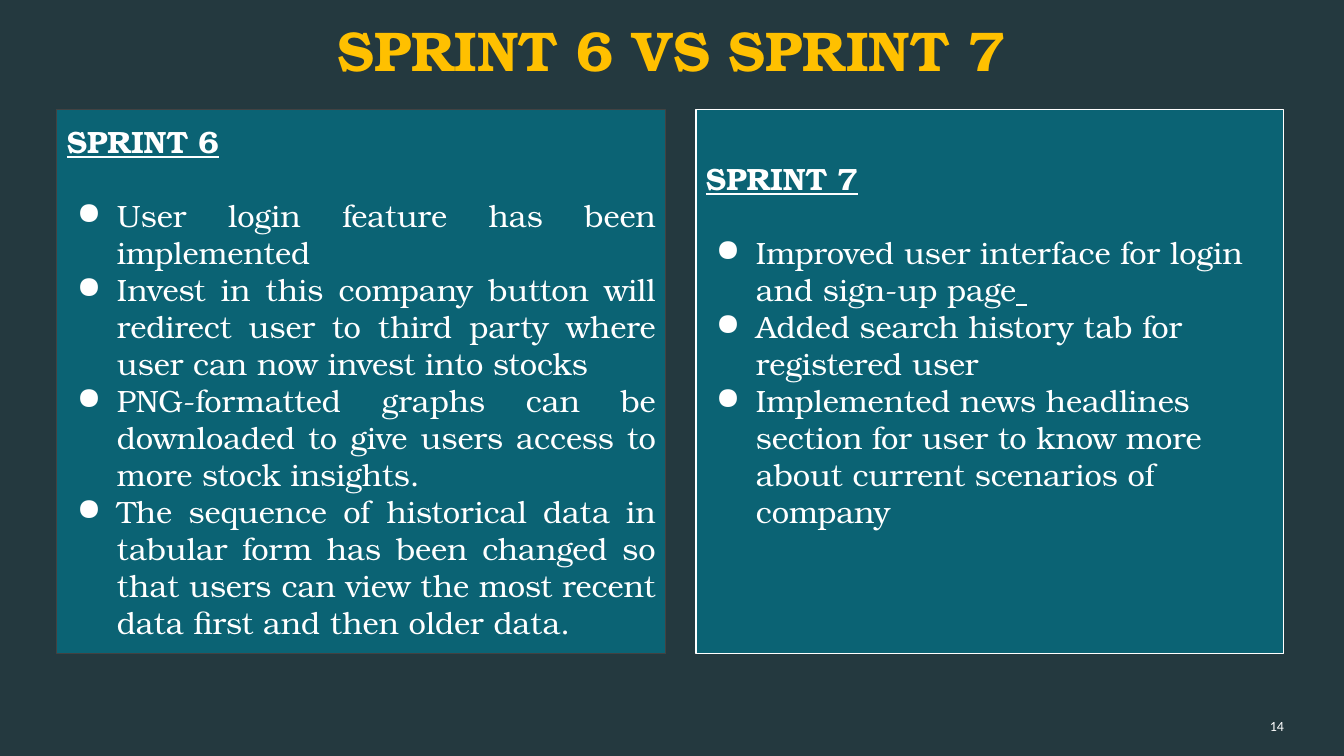
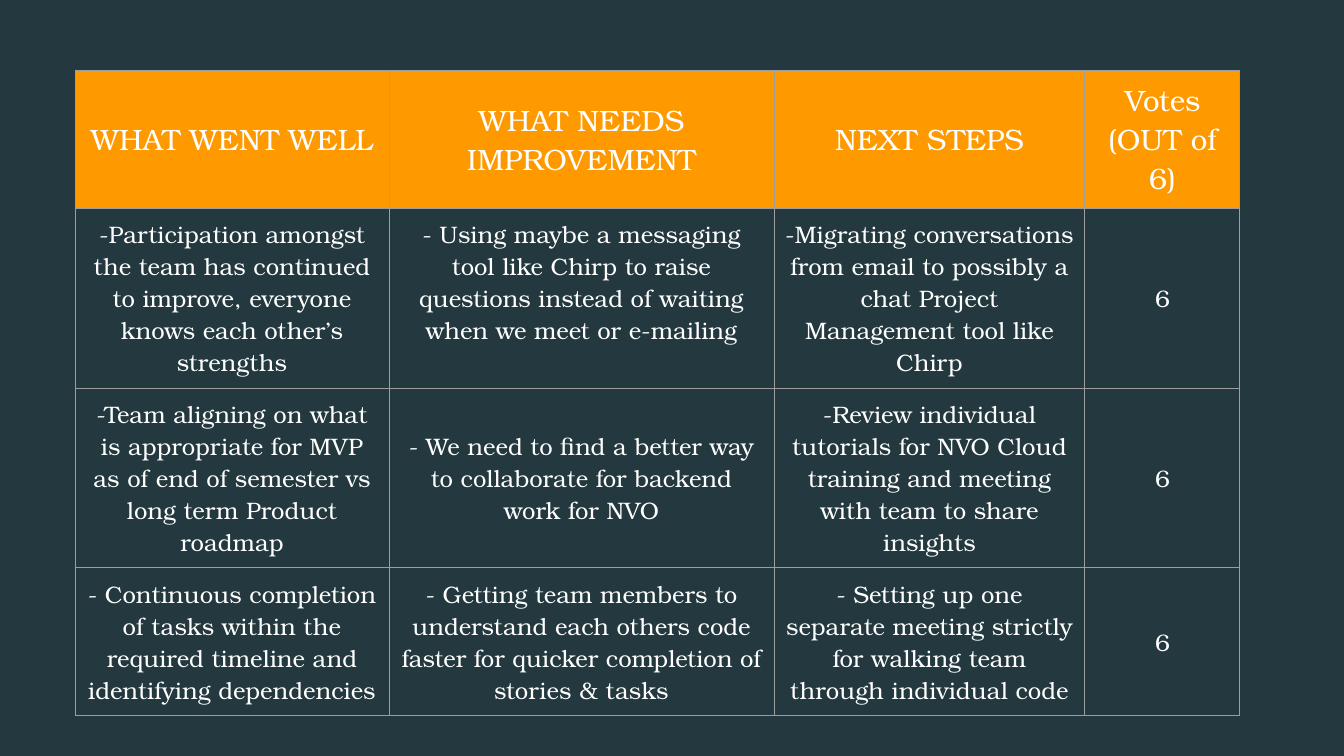
from dataclasses import dataclass

from lxml import etree
from pptx import Presentation
from pptx.dml.color import RGBColor
from pptx.enum.shapes import MSO_SHAPE
from pptx.enum.text import MSO_ANCHOR, MSO_AUTO_SIZE, PP_ALIGN
from pptx.oxml.ns import qn
from pptx.util import Emu, Pt

LEFT, CENTER, RIGHT, JUSTIFY = (
    PP_ALIGN.LEFT, PP_ALIGN.CENTER, PP_ALIGN.RIGHT, PP_ALIGN.JUSTIFY)
TOP, MIDDLE = MSO_ANCHOR.TOP, MSO_ANCHOR.MIDDLE
RECTANGLE = MSO_SHAPE.RECTANGLE
NO_AUTOFIT = MSO_AUTO_SIZE.NONE
TITLE_ONLY, BLANK = 5, 6
PX = 914400 / 100.8


@dataclass(frozen=True)
class Theme:
    background: str = "24393F"
    gold: str = "FFC000"
    teal: str = "0B6374"
    orange: str = "FF9900"
    white: str = "FFFFFF"
    dark_line: str = "424242"
    grid_line: str = "9E9E9E"
    serif: str = "TeX Gyre Bonum"
    sans: str = "Calibri"
    title_size: int = 40
    panel_size: int = 22
    header_size: int = 21
    cell_size: int = 17
    number_size: int = 10
    panel_pitch: float = 26.4
    header_pitch: float = 28
    cell_pitch: float = 22.8


THEME = Theme()


def px(*lengths):
    """Turn pixel lengths into a list of EMU lengths."""
    return [Emu(round(length * PX)) for length in lengths]


def write(para, text, size, color=THEME.white, font=THEME.serif, bold=False,
          underline=False, align=LEFT, pitch=None, after=0, bullet=None):
    """Add a formatted run to a paragraph; pitch is the line height in points."""
    para.alignment = align
    para.space_after = Pt(after)
    if pitch:
        para.line_spacing = Pt(pitch)
    if bullet:
        properties = para._p.get_or_add_pPr()
        indent, hanging = px(50, -40)
        properties.set("marL", str(indent))
        properties.set("indent", str(hanging))
        bullet_color = etree.SubElement(properties, qn("a:buClr"))
        etree.SubElement(bullet_color, qn("a:srgbClr"), val=color)
        etree.SubElement(properties, qn("a:buChar"), char=bullet)
    span = para.add_run()
    span.text = text
    span.font.size = Pt(size)
    span.font.name = font
    span.font.bold = bold
    span.font.underline = underline
    span.font.color.rgb = RGBColor.from_string(color)


deck = Presentation()
deck.slide_width, deck.slide_height = px(1344, 756)
backdrop = deck.slide_master.background.fill
backdrop.solid()
backdrop.fore_color.rgb = RGBColor.from_string(THEME.background)

# Sprint comparison
page = deck.slides.add_slide(deck.slide_layouts[TITLE_ONLY])
title = page.shapes.title
title.left, title.top, title.width, title.height = px(30, 13, 1283, 73)
number = page.shapes.add_textbox(*px(1041, 706, 243, 40))
for box in (title, number):
    frame = box.text_frame
    frame.word_wrap = True
    frame.auto_size = NO_AUTOFIT
    frame.vertical_anchor = MIDDLE
    frame.margin_left = frame.margin_top = frame.margin_right = frame.margin_bottom = 0
write(title.text_frame.paragraphs[0], "SPRINT 6 VS SPRINT 7", THEME.title_size,
      color=THEME.gold, bold=True, align=CENTER)
write(number.text_frame.paragraphs[0], "14", THEME.number_size,
      font=THEME.sans, align=RIGHT)

PANELS = [
    ("SPRINT 6", 57, 609, THEME.dark_line, 13, JUSTIFY, [
        "User login feature has been implemented",
        "Invest in this company button will redirect user to third party "
        "where user can now invest into stocks",
        "PNG-formatted graphs can be downloaded to give users access to "
        "more stock insights.",
        "The sequence of historical data in tabular form has been changed so "
        "that users can view the most recent data first and then older data.",
    ]),
    ("SPRINT 7", 696, 588, THEME.white, 50, LEFT, [
        "Improved user interface for login and sign-up page",
        "Added search history tab for registered user",
        "Implemented news headlines section for user to know more about "
        "current scenarios of company",
    ]),
]
for heading, left, width, line_color, inset, align, points in PANELS:
    panel = page.shapes.add_shape(RECTANGLE, *px(left, 110, width, 544))
    panel.shadow.inherit = False
    panel.fill.solid()
    panel.fill.fore_color.rgb = RGBColor.from_string(THEME.teal)
    panel.line.color.rgb = RGBColor.from_string(line_color)
    panel.line.width = Pt(0.75)
    frame = panel.text_frame
    frame.word_wrap = True
    frame.vertical_anchor = TOP
    frame.margin_left, frame.margin_top, frame.margin_right = px(10, inset, 10)
    write(frame.paragraphs[0], heading, THEME.panel_size, bold=True,
          underline=True, pitch=THEME.panel_pitch, after=THEME.panel_pitch)
    for point in points:
        para = frame.add_paragraph()
        write(para, point, THEME.panel_size, align=align,
              pitch=THEME.panel_pitch, bullet="●")
        if point.endswith("sign-up page"):
            write(para, " ", THEME.panel_size, bold=True, underline=True,
                  align=align, pitch=THEME.panel_pitch)

# Retrospective table
page = deck.slides.add_slide(deck.slide_layouts[BLANK])
COLUMN_WIDTHS = px(314, 385, 311, 155)
ROW_HEIGHTS = px(138, 180, 180, 147)
ROWS = [
    ["WHAT WENT WELL", "WHAT NEEDS IMPROVEMENT", "NEXT STEPS",
     "Votes\n(OUT of 6)"],
    ["-Participation amongst the team has continued to improve, everyone "
     "knows each other’s strengths",
     "- Using maybe a messaging tool like Chirp to raise questions instead "
     "of waiting when we meet or e-mailing",
     "-Migrating conversations from email to possibly a chat Project "
     "Management tool like Chirp",
     "6"],
    ["-Team aligning on what is appropriate for MVP as of end of semester vs "
     "long term Product roadmap",
     "- We need to find a better way to collaborate for backend work for NVO",
     "-Review individual tutorials for NVO Cloud training and meeting with "
     "team to share insights",
     "6"],
    ["- Continuous completion of tasks within the required timeline and "
     "identifying dependencies",
     "- Getting team members to understand each others code faster for "
     "quicker completion of stories & tasks",
     "- Setting up one separate meeting strictly for walking team through "
     "individual code",
     "6"],
]
TOP_CELLS = {(0, 3), (1, 1)}
table = page.shapes.add_table(
    len(ROWS), len(COLUMN_WIDTHS), *px(75, 70),
    sum(COLUMN_WIDTHS), sum(ROW_HEIGHTS)).table
table.first_row = table.horz_banding = False
for column, width in zip(table.columns, COLUMN_WIDTHS):
    column.width = width
for row, height in zip(table.rows, ROW_HEIGHTS):
    row.height = height

for row_index, texts in enumerate(ROWS):
    is_header = row_index == 0
    size = THEME.header_size if is_header else THEME.cell_size
    pitch = THEME.header_pitch if is_header else THEME.cell_pitch
    for column_index, text in enumerate(texts):
        cell = table.cell(row_index, column_index)
        cell.vertical_anchor = TOP if (row_index, column_index) in TOP_CELLS else MIDDLE
        (cell.margin_left, cell.margin_top,
         cell.margin_right, cell.margin_bottom) = px(10, 10, 10, 10)
        cell_properties = cell._tc.get_or_add_tcPr()
        for side in ("lnL", "lnR", "lnT", "lnB"):
            border = etree.SubElement(cell_properties, qn(f"a:{side}"),
                                      w=str(Pt(0.75)))
            border_fill = etree.SubElement(border, qn("a:solidFill"))
            etree.SubElement(border_fill, qn("a:srgbClr"), val=THEME.grid_line)
        if is_header:
            cell.fill.solid()
            cell.fill.fore_color.rgb = RGBColor.from_string(THEME.orange)
        else:
            cell.fill.background()
        frame = cell.text_frame
        for line_index, line in enumerate(text.split("\n")):
            para = frame.add_paragraph() if line_index else frame.paragraphs[0]
            write(para, line, size, align=CENTER, pitch=pitch)

deck.save("out.pptx")
